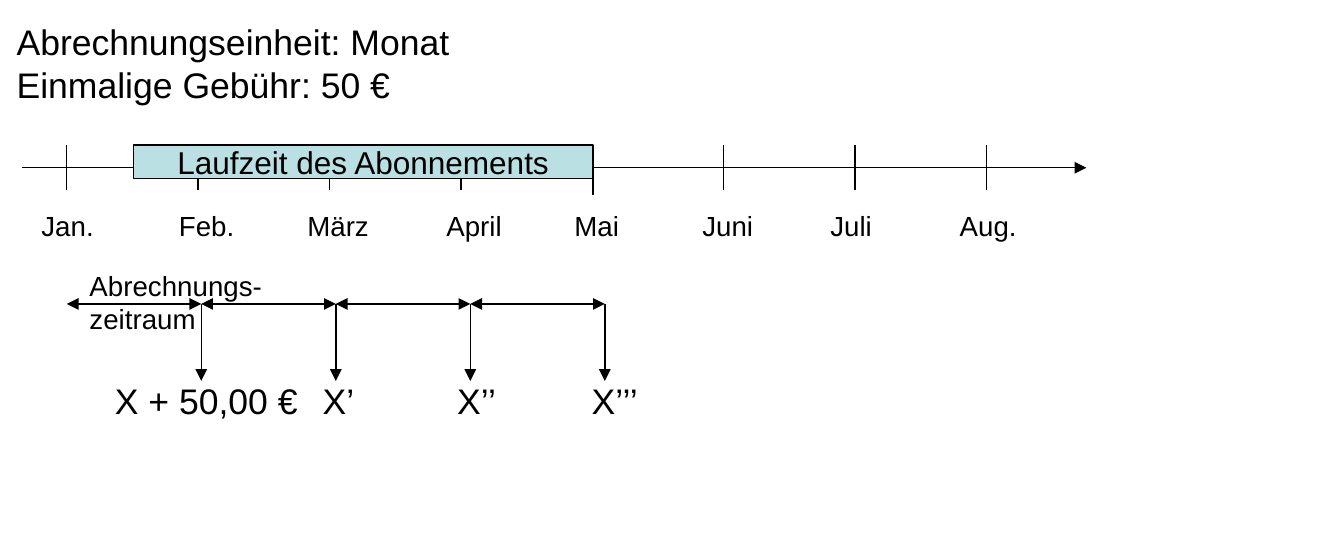
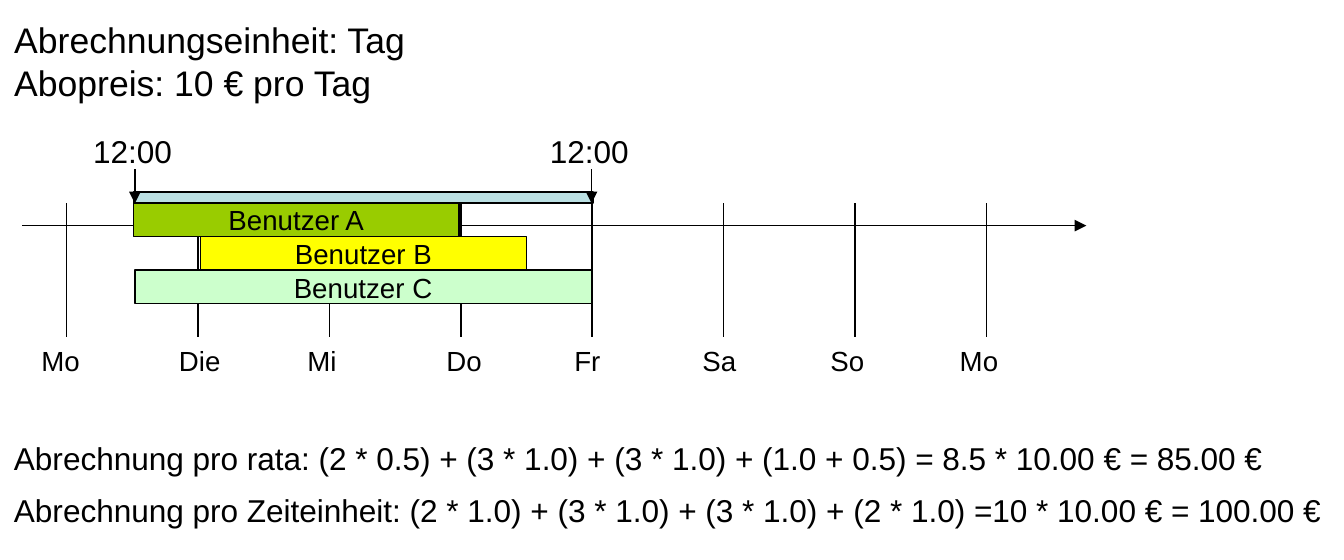
from dataclasses import dataclass

from pptx import Presentation
from pptx.dml.color import RGBColor
from pptx.enum import shapes, text
from pptx.oxml.ns import qn
from pptx.util import Pt
from lxml import etree


@dataclass(frozen=True)
class Theme:
    font: str = "Arial"
    ink: str = "000000"
    term: str = "BBE0E3"
    user_a: str = "99CC00"
    user_b: str = "FFFF00"
    user_c: str = "CCFFCC"
    title_size: float = 18
    body_size: float = 16
    label_size: float = 14
    line_width: float = 0.75


THEME = Theme()
INK = RGBColor.from_string(THEME.ink)

AXIS_LEFT, AXIS_RIGHT = 11.3, 550
FIRST_TICK, TICK_STEP = 33.8, 66.5
LABEL_LEFTS = [13.9, 83.5, 148.5, 218.9, 283.7, 348.5, 413.3, 478.8]
LABEL_WIDTH, LABEL_HEIGHT = 50, 24.2
BAR_HEIGHT = 17


def write(shape, lines, size, align=text.PP_ALIGN.LEFT, anchor=text.MSO_ANCHOR.TOP):
    frame = shape.text_frame
    frame.word_wrap = True
    frame.auto_size = text.MSO_AUTO_SIZE.NONE
    frame.vertical_anchor = anchor
    frame.margin_left = frame.margin_right = Pt(7.2)
    middle = anchor == text.MSO_ANCHOR.MIDDLE
    frame.margin_top = frame.margin_bottom = Pt(0 if middle else 3.6)
    for number, line in enumerate(lines):
        para = frame.add_paragraph() if number else frame.paragraphs[0]
        para.alignment = align
        para.space_before = Pt(0)
        span = para.add_run()
        span.text = line
        span.font.name = THEME.font
        span.font.size = Pt(size)
        span.font.color.rgb = INK


def draw_line(page, x1, y1, x2, y2, head=False, tail=False):
    """Draw a line; head puts an arrowhead at its start, tail at its end."""
    line = page.shapes.add_connector(
        shapes.MSO_CONNECTOR.STRAIGHT, Pt(x1), Pt(y1), Pt(x2), Pt(y2))
    line.line.color.rgb = INK
    line.line.width = Pt(THEME.line_width)
    properties = line._element.spPr
    outline = properties.find(qn("a:ln"))
    for tag, wanted in (("a:headEnd", head), ("a:tailEnd", tail)):
        if wanted:
            etree.SubElement(outline, qn(tag), type="triangle")
    etree.SubElement(properties, qn("a:effectLst"))


deck = Presentation()
deck.slide_width, deck.slide_height = Pt(680.4), Pt(283.7)

# Bars: left, top, width, height, fill, caption, type size
# Lines: x1, y1, x2, y2, head, tail
# Texts: left, top, width, height, lines, type size
period_ends = [FIRST_TICK + 68.1 * number for number in range(5)]
period_y, amount_y = 154, 188.6
month_lines = [(start, period_y, end, period_y, True, True)
               for start, end in zip(period_ends, period_ends[1:])]
month_lines += [(x, period_y, x, 193, False, True) for x in period_ends[1:]]
month_lines.append((300.2, 75.6, 300.2, 98.6, False, False))
month_texts = [(38.2, 132.5, 106, 41, ["Abrechnungs-", "zeitraum"], THEME.label_size),
               (51.1, amount_y, 108, 29, ["X + 50,00 €"], THEME.title_size)]
month_texts += [(x - 13.7, amount_y, 44, 29, ["X" + "’" * marks], THEME.title_size)
                for marks, x in enumerate(period_ends[2:], 1)]

noon_xs = [68.3, 299.5]
day_lines = [(x, 85.7, x, 103, False, True) for x in noon_xs]
day_texts = [(x - 28.2, 63.4, 56, 26.6, ["12:00"], THEME.body_size) for x in noon_xs]
day_texts += [
    (0, 218.9, 680.4, 26.6,
     ["Abrechnung pro rata: (2 * 0.5) + (3 * 1.0) + (3 * 1.0) + (1.0 + 0.5)"
      " = 8.5 * 10.00 € = 85.00 €"], THEME.body_size),
    (0, 245, 685, 26.6,
     ["Abrechnung pro Zeiteinheit: (2 * 1.0) + (3 * 1.0) + (3 * 1.0) + (2 * 1.0)"
      " =10 * 10.00 € = 100.00 €"], THEME.body_size),
]

timelines = [
    dict(title=["Abrechnungseinheit: Monat", "Einmalige Gebühr: 50 €"],
         title_at=(1.2, 6.5),
         axis_y=85, tick_top=73.6, tick_bottom=96.5, label_top=102.4,
         ticks=[0, 1, 2, 3, 5, 6, 7],
         labels=["Jan.", "Feb.", "März", "April", "Mai", "Juni", "Juli", "Aug."],
         bars=[(67.5, 73.6, 232.7, BAR_HEIGHT, THEME.term,
                "Laufzeit des Abonnements", THEME.body_size)],
         lines=month_lines, texts=month_texts),
    dict(title=["Abrechnungseinheit: Tag", "Abopreis: 10 € pro Tag"],
         title_at=(0, 5.6),
         axis_y=114.3, tick_top=103, tick_bottom=170.6, label_top=170.9,
         ticks=range(8),
         labels=["Mo", "Die", "Mi", "Do", "Fr", "Sa", "So", "Mo"],
         bars=[(67.5, 97.2, 232.7, 5.7, THEME.term, "", THEME.label_size),
               (67.5, 102.9, 165, BAR_HEIGHT, THEME.user_a,
                "Benutzer A", THEME.label_size),
               (101.5, 119.9, 165, BAR_HEIGHT, THEME.user_b,
                "Benutzer B", THEME.label_size),
               (68.3, 136.9, 231.2, BAR_HEIGHT, THEME.user_c,
                "Benutzer C", THEME.label_size)],
         lines=day_lines, texts=day_texts),
]

for plan in timelines:
    page = deck.slides.add_slide(deck.slide_layouts[5])
    title = page.shapes.title
    title.left, title.top = (Pt(length) for length in plan["title_at"])
    title.width, title.height = Pt(240), Pt(50.4)
    write(title, plan["title"], THEME.title_size)

    draw_line(page, AXIS_LEFT, plan["axis_y"], AXIS_RIGHT, plan["axis_y"], tail=True)
    for tick in plan["ticks"]:
        x = FIRST_TICK + TICK_STEP * tick
        draw_line(page, x, plan["tick_top"], x, plan["tick_bottom"])

    for left, top, width, height, fill, caption, size in plan["bars"]:
        bar = page.shapes.add_shape(
            shapes.MSO_SHAPE.RECTANGLE, Pt(left), Pt(top), Pt(width), Pt(height))
        bar.shadow.inherit = False
        bar.fill.solid()
        bar.fill.fore_color.rgb = RGBColor.from_string(fill)
        bar.line.color.rgb = INK
        bar.line.width = Pt(THEME.line_width)
        if caption:
            write(bar, [caption], size, text.PP_ALIGN.CENTER, text.MSO_ANCHOR.MIDDLE)

    for line in plan["lines"]:
        draw_line(page, *line)

    labels = [(left, plan["label_top"], LABEL_WIDTH, LABEL_HEIGHT, [label], THEME.label_size)
              for left, label in zip(LABEL_LEFTS, plan["labels"])]
    for left, top, width, height, lines, size in labels + plan["texts"]:
        box = page.shapes.add_textbox(Pt(left), Pt(top), Pt(width), Pt(height))
        write(box, lines, size)

deck.save("out.pptx")
